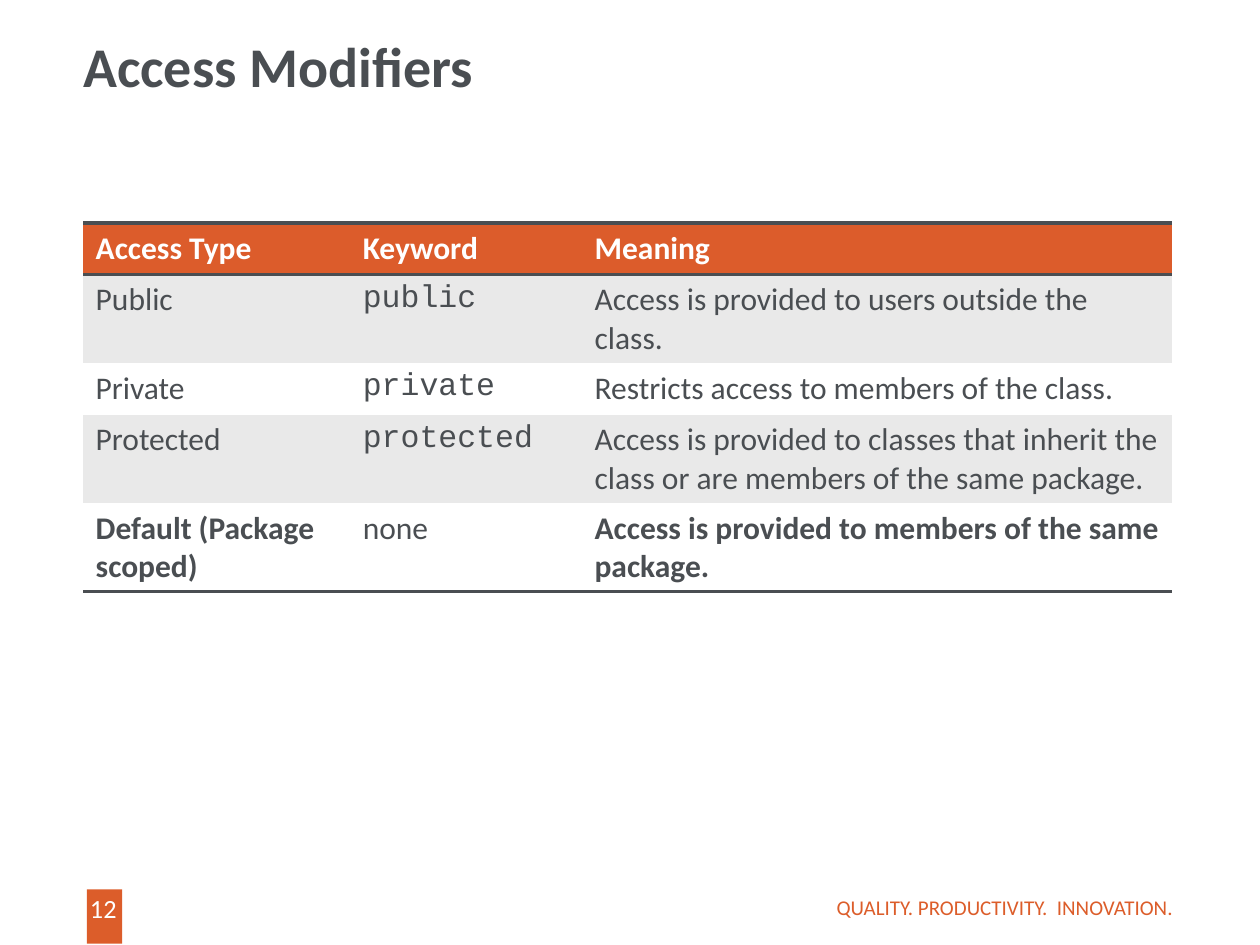
from dataclasses import dataclass

from lxml.etree import SubElement
from pptx import Presentation
from pptx.dml.color import RGBColor as Color
from pptx.enum.shapes import MSO_SHAPE as Preset
from pptx.enum.text import MSO_ANCHOR as Anchor, PP_ALIGN as Align
from pptx.oxml.ns import qn
from pptx.util import Inches, Pt


@dataclass(frozen=True)
class Theme:
    """Colours, fonts and type sizes of the slide."""
    ink: str = "4A4E52"
    accent: str = "DC5D2A"
    header: str = "DC5C2B"
    band: str = "E9E9E9"
    white: str = "FFFFFF"
    body_font: str = "Calibri"
    code_font: str = "Courier New"
    title_size: int = 32
    table_size: int = 18
    number_size: int = 15
    footer_size: int = 12
    rule_width: int = 2


THEME = Theme()
LEFT = 0.66
COLUMN_WIDTHS = (2.12, 1.84, 4.68)
ROW_HEIGHT = 0.41
TABLE_TOP = 1.77
ROWS = (
    ("Access Type", "Keyword", "Meaning"),
    ("Public", "public", "Access is provided to users outside the class."),
    ("Private", "private", "Restricts access to members of the class."),
    ("Protected", "protected", "Access is provided to classes that inherit the "
     "class or are members of the same package."),
    ("Default (Package scoped)", "none",
     "Access is provided to members of the same package."),
)


def style(paragraph, size, color, bold=False, font=THEME.body_font):
    """Set the font of a whole paragraph."""
    paragraph.font.name = font
    paragraph.font.size = Pt(size)
    paragraph.font.bold = bold
    paragraph.font.color.rgb = Color.from_string(color)


def add_text(slide, box, text, size, color, bold=False, align=Align.LEFT,
             anchor=Anchor.TOP, margins=(0, 0, 0, 0)):
    """Add a wrapping text box and return its paragraph."""
    frame = slide.shapes.add_textbox(*map(Inches, box)).text_frame
    frame.word_wrap = True
    frame.vertical_anchor = anchor
    (frame.margin_left, frame.margin_top,
     frame.margin_right, frame.margin_bottom) = map(Inches, margins)
    paragraph = frame.paragraphs[0]
    paragraph.text = text
    paragraph.alignment = align
    style(paragraph, size, color, bold)
    return paragraph


def set_borders(cell, ruled_sides):
    """Rule the named sides of a cell and clear the others."""
    properties = cell._tc.get_or_add_tcPr()
    for side in "LRTB":
        line = SubElement(properties, qn(f"a:ln{side}"))
        if side in ruled_sides:
            line.set("w", str(Pt(THEME.rule_width)))
            fill = SubElement(line, qn("a:solidFill"))
            SubElement(fill, qn("a:srgbClr")).set("val", THEME.ink)
        else:
            SubElement(line, qn("a:noFill"))


def fill_cell(cell, row, column):
    """Write and style one cell by its place in the table."""
    last = len(ROWS) - 1
    text = ROWS[row][column]
    set_borders(cell, {0: "TB", 1: "T", last: "B"}.get(row, ""))
    background = THEME.header if row == 0 else (THEME.white, THEME.band)[row % 2]
    cell.fill.solid()
    cell.fill.fore_color.rgb = Color.from_string(background)
    cell.text = text
    is_keyword = column == 1 and 0 < row < last
    style(cell.text_frame.paragraphs[0], THEME.table_size,
          THEME.white if row == 0 else THEME.ink,
          bold=row == 0 or (row == last and column != 1),
          font=THEME.code_font if is_keyword else THEME.body_font)


def add_modifier_table(slide):
    """Add the table of access modifiers."""
    table = slide.shapes.add_table(
        len(ROWS), len(COLUMN_WIDTHS), Inches(LEFT), Inches(TABLE_TOP),
        Inches(sum(COLUMN_WIDTHS)), Inches(ROW_HEIGHT * len(ROWS))).table
    for column, width in zip(table.columns, COLUMN_WIDTHS):
        column.width = Inches(width)
    for row in range(len(ROWS)):
        for column in range(len(COLUMN_WIDTHS)):
            fill_cell(table.cell(row, column), row, column)


def add_page_number(slide, number):
    """Add the page number on its coloured tab."""
    tab = slide.shapes.add_shape(
        Preset.RECTANGLE, *map(Inches, (0.69, 7.06, 0.28, 0.43)))
    tab.shadow.inherit = False
    tab.fill.solid()
    tab.fill.fore_color.rgb = Color.from_string(THEME.accent)
    tab.line.fill.background()
    add_text(slide, (0.64, 7.08, 0.36, 0.25), number, THEME.number_size,
             THEME.white, align=Align.CENTER)


def main():
    """Build and save the slide."""
    presentation = Presentation()
    presentation.slide_width, presentation.slide_height = Inches(10), Inches(7.5)
    slide = presentation.slides.add_slide(presentation.slide_layouts[6])
    add_page_number(slide, "12")
    title = add_text(slide, (LEFT, 0.26, 6.98, 1.19), "Access Modifiers",
                     THEME.title_size, THEME.ink, bold=True,
                     margins=(0, 0.05, 0.1, 0.05))
    title.line_spacing = 0.9
    add_modifier_table(slide)
    add_text(slide, (6.26, 7, 3.05, 0.4), "QUALITY. PRODUCTIVITY.  INNOVATION.",
             THEME.footer_size, THEME.accent, align=Align.RIGHT,
             anchor=Anchor.MIDDLE)
    presentation.save("out.pptx")


if __name__ == "__main__":
    main()
